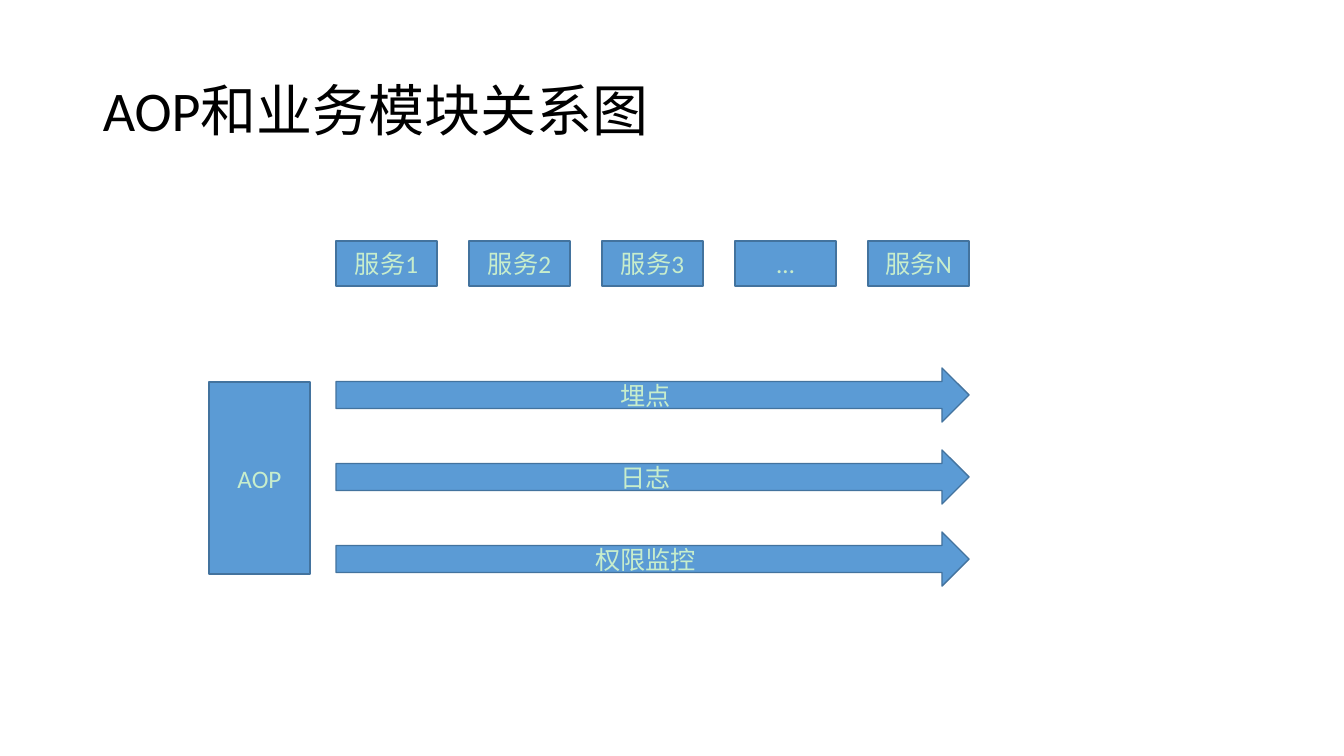
from pptx import Presentation
from pptx.dml.color import RGBColor
from pptx.enum import shapes, text
from pptx import util as u

# Content
TITLE = "AOP和业务模块关系图"
SERVICES = ["服务1", "服务2", "服务3", "…", "服务N"]
ASPECTS = ["埋点", "日志", "权限监控"]
SIDE = "AOP"

# Style
FONT = "Calibri"
BLACK = RGBColor(0x00, 0x00, 0x00)
BLUE = RGBColor(0x5B, 0x9B, 0xD5)
EDGE = RGBColor(0x43, 0x73, 0x9E)
MINT = RGBColor(0xC7, 0xED, 0xCC)
RECT = shapes.MSO_SHAPE.RECTANGLE
ARROW = shapes.MSO_SHAPE.RIGHT_ARROW

# Layout in px
LEFT, WIDE = 336, 633
BOX_W, BOX_H, BOX_TOP = 101, 45, 241
ARROW_H, ARROW_TOP, ARROW_STEP = 54, 368, 82
SCALE = 914400 / 100.8


def px(n):
    return u.Emu(round(n * SCALE))


def write(shape, words, size, color, align):
    frame = shape.text_frame
    frame.word_wrap = True
    frame.vertical_anchor = text.MSO_ANCHOR.MIDDLE
    para = frame.paragraphs[0]
    para.text = words
    para.alignment = align
    para.font.name = FONT
    para.font.size = u.Pt(size)
    para.font.color.rgb = color
    return para


def block(slide, kind, words, *area):
    shape = slide.shapes.add_shape(kind, *map(px, area))
    shape.shadow.inherit = False
    shape.fill.solid()
    shape.fill.fore_color.rgb = BLUE
    shape.line.color.rgb = EDGE
    shape.line.width = u.Pt(1)
    write(shape, words, 18, MINT, text.PP_ALIGN.CENTER)


def main():
    deck = Presentation()
    deck.slide_width, deck.slide_height = px(1344), px(756)
    slide = deck.slides.add_slide(deck.slide_layouts[6])

    # Title
    box = slide.shapes.add_textbox(*map(px, (93, 40, 1159, 146)))
    head = write(box, TITLE, 40, BLACK, text.PP_ALIGN.LEFT)
    head.line_spacing = 0.9

    # Row of services, spread over the arrow width
    step = (WIDE - BOX_W) / (len(SERVICES) - 1)
    for i, name in enumerate(SERVICES):
        block(slide, RECT, name, LEFT + i * step, BOX_TOP, BOX_W, BOX_H)

    # Arrows of aspects that cut across the services
    for i, name in enumerate(ASPECTS):
        top = ARROW_TOP + i * ARROW_STEP
        block(slide, ARROW, name, LEFT, top, WIDE, ARROW_H)

    # Side block
    block(slide, RECT, SIDE, 209, 382, BOX_W, 192)

    deck.save("out.pptx")


if __name__ == "__main__":
    main()
